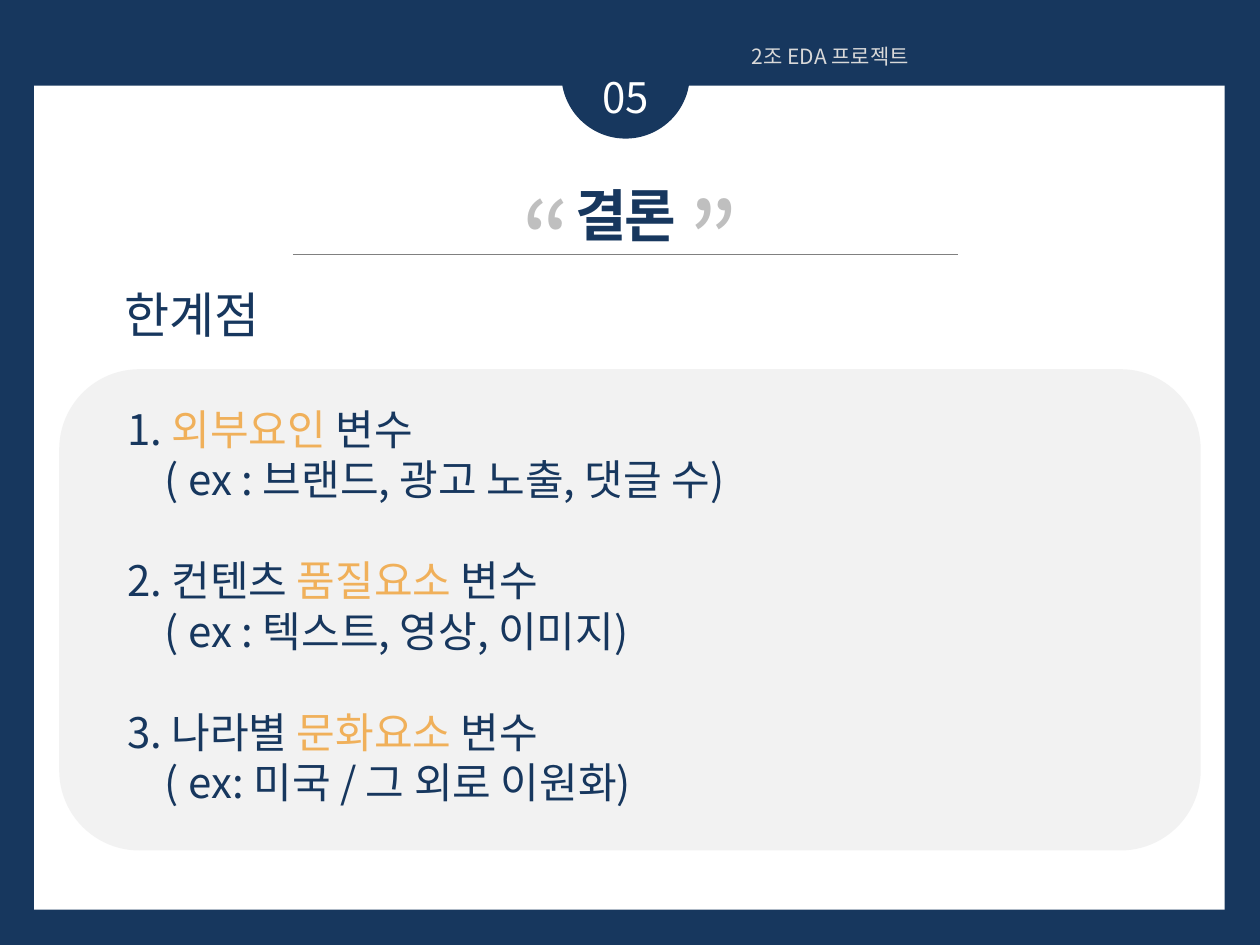
import pptx
import pptx.dml.color
import pptx.enum.shapes
import pptx.enum.text
import pptx.oxml.ns
import pptx.util
from lxml import etree

Inches = pptx.util.Inches
Pt = pptx.util.Pt
Shape = pptx.enum.shapes.MSO_SHAPE
Align = pptx.enum.text.PP_ALIGN
qn = pptx.oxml.ns.qn

FONT = "Noto Sans CJK KR"
COLORS = {
    "navy": "17375E",
    "white": "FFFFFF",
    "panel": "F2F2F2",
    "accent": "F0B05A",
    "quote": "BFBFBF",
    "caption": "D9D9D9",
    "rule": "808080",
}
LIMITATIONS = [
    ([("1. ", "navy"), ("외부요인", "accent"), (" 변수", "navy")],
     "( ex : 브랜드, 광고 노출, 댓글 수)"),
    ([("2. 컨텐츠 ", "navy"), ("품질요소 ", "accent"), ("변수", "navy")],
     "( ex : 텍스트, 영상, 이미지)"),
    ([("3. 나라별 ", "navy"), ("문화요소 ", "accent"), ("변수", "navy")],
     "( ex: 미국 / 그 외로 이원화)"),
]


def rgb(name):
    return pptx.dml.color.RGBColor.from_string(COLORS[name])


def add_block(slide, preset, box, color):
    shape = slide.shapes.add_shape(preset, *map(Inches, box))
    shape.shadow.inherit = False
    shape.fill.solid()
    shape.fill.fore_color.rgb = rgb(color)
    shape.line.fill.background()


def add_run(paragraph, text, size, color, bold=False, tracking=None):
    """Tracking is the letter spacing in points."""
    run = paragraph.add_run()
    run.text = text
    run.font.size = Pt(size)
    run.font.name = FONT
    run.font.bold = bold
    run.font.color.rgb = rgb(color)
    properties = run.font._element
    etree.SubElement(properties, qn("a:ea")).set("typeface", FONT)
    if tracking is not None:
        properties.set("spc", str(int(tracking * 100)))


def add_text_frame(slide, box):
    frame = slide.shapes.add_textbox(*map(Inches, box)).text_frame
    frame.word_wrap = True
    return frame


def add_text(slide, box, text, align=Align.LEFT, **run_format):
    paragraph = add_text_frame(slide, box).paragraphs[0]
    paragraph.alignment = align
    add_run(paragraph, text, **run_format)


def add_page_frame(slide, box):
    """White page with the section number in a round tab on its top edge."""
    left, top, width, height = box
    center = left + width / 2 - 0.03
    add_block(slide, Shape.RECTANGLE, box, "white")
    add_block(slide, Shape.OVAL, (center - 0.51, top - 0.6, 1.02, 1.02), "navy")
    add_text(slide, (center - 0.59, top - 0.16, 1.18, 0.5), "05",
             align=Align.CENTER, size=24, color="white")
    add_text(slide, (left + 5.6, top - 0.38, 3.94, 0.3), "2조 EDA 프로젝트",
             align=Align.JUSTIFY, size=12, color="caption")


def add_title(slide, box):
    """Title between quotation marks, above a thin rule."""
    left, top, width, height = box
    center = left + width / 2
    for mark, offset in (("“", -0.63), ("”", 0.7)):
        add_text(slide, (center + offset - 0.4, top - 0.04, 0.8, 1.11), mark,
                 align=Align.CENTER, size=60, color="quote")
    add_text(slide, box, "결론", align=Align.CENTER, size=32, color="navy",
             bold=True, tracking=-1.5)
    rule = slide.shapes.add_connector(
        pptx.enum.shapes.MSO_CONNECTOR.STRAIGHT,
        Inches(center - 2.64), Inches(top + height),
        Inches(center + 2.64), Inches(top + height))
    rule.line.color.rgb = rgb("rule")
    rule.line.width = Pt(0.75)
    etree.SubElement(rule._element.spPr, qn("a:effectLst"))


def add_limitations(slide, box):
    """Heading, then a rounded panel listing each point and its examples."""
    left, top, width, height = box
    add_block(slide, Shape.ROUNDED_RECTANGLE, box, "panel")
    add_text(slide, (left + 0.42, top - 0.72, 1.89, 0.6), "한계점",
             size=28, color="navy")
    frame = add_text_frame(slide, (left + 0.44, top + 0.22, 8.11, 3.5))
    for index, (parts, examples) in enumerate(LIMITATIONS):
        point = frame.add_paragraph() if index else frame.paragraphs[0]
        if index:
            point.space_before = Pt(29)
        for text, color in parts:
            add_run(point, text, size=24, color=color)
        example = frame.add_paragraph()
        example._p.get_or_add_pPr().set("marL", str(Inches(0.3)))
        add_run(example, examples, size=24, color="navy")


def main():
    presentation = pptx.Presentation()
    presentation.slide_width = Inches(10)
    presentation.slide_height = Inches(7.5)
    slide = presentation.slides.add_slide(presentation.slide_layouts[6])
    slide.background.fill.solid()
    slide.background.fill.fore_color.rgb = rgb("navy")

    add_page_frame(slide, (0.27, 0.68, 9.45, 6.54))
    add_limitations(slide, (0.47, 2.93, 9.06, 3.82))
    add_title(slide, (1.54, 1.38, 6.85, 0.64))
    presentation.save("out.pptx")


if __name__ == "__main__":
    main()
